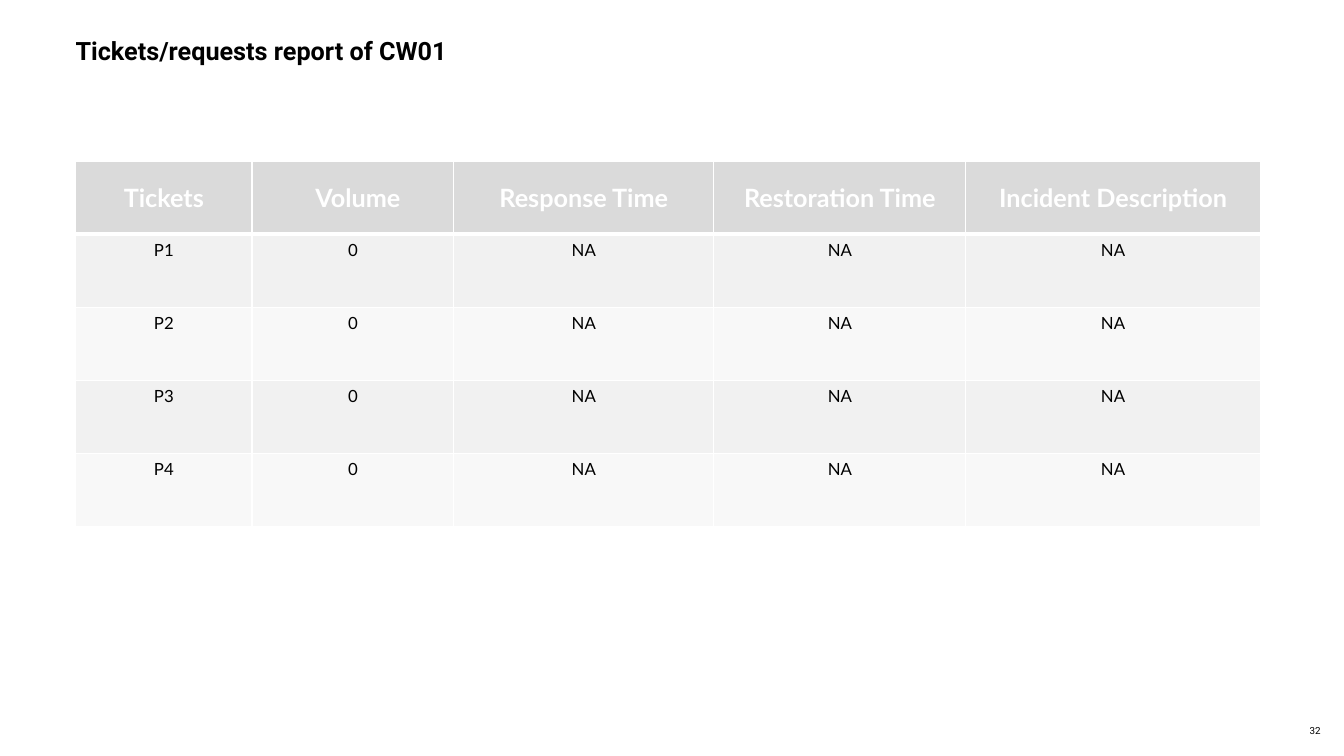
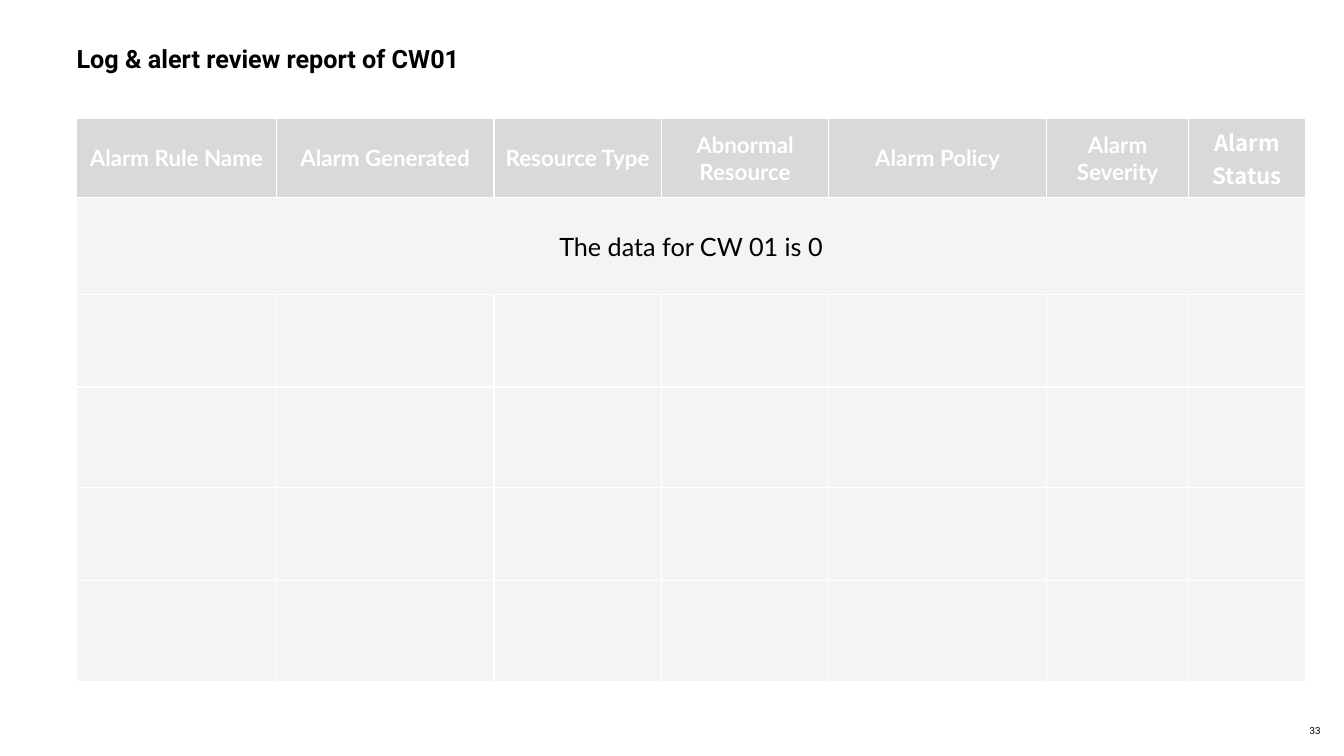
from dataclasses import dataclass

from lxml import etree
from pptx import Presentation
from pptx import util as u
from pptx.dml.color import RGBColor
from pptx.enum import text
from pptx.oxml import ns


@dataclass(frozen=True)
class Theme:
    heading_font: str = "Roboto"
    body_font: str = "Lato"
    status_font: str = "Noto Sans CJK SC"
    ink: str = "000000"
    white: str = "FFFFFF"
    ticket_header: str = "DADADA"
    ticket_bands: tuple = ("F1F1F1", "F8F8F8")
    alarm_header: str = "D9D9D9"
    alarm_band: str = "F4F4F4"
    title_size: int = 18
    large_size: int = 18
    header_size: int = 16
    body_size: int = 12
    number_size: int = 7


T = Theme()


def style_font(p, name, size, color, bold=False):
    p.font.name = name
    p.font.size = u.Pt(size)
    p.font.bold = bold
    p.font.color.rgb = RGBColor.from_string(color)


def set_margins(obj, left=0, top=0, right=0, bottom=0):
    obj.margin_left = u.Inches(left)
    obj.margin_top = u.Inches(top)
    obj.margin_right = u.Inches(right)
    obj.margin_bottom = u.Inches(bottom)


def place(sp, left, top, width, height):
    sp.left, sp.top = u.Inches(left), u.Inches(top)
    sp.width, sp.height = u.Inches(width), u.Inches(height)


def add_slide(prs, title, left, top, number):
    s = prs.slides.add_slide(prs.slide_layouts[5])
    sp = s.shapes.title
    place(sp, left, top, 12.4, 0.67)
    tf = sp.text_frame
    tf.text = title
    tf.word_wrap = True
    tf.auto_size = text.MSO_AUTO_SIZE.NONE
    tf.vertical_anchor = text.MSO_ANCHOR.TOP
    set_margins(tf)
    p = tf.paragraphs[0]
    p.alignment = text.PP_ALIGN.LEFT
    p.line_spacing = 1.1
    style_font(p, T.heading_font, T.title_size, T.ink, True)
    add_slide_number(s, number)
    return s


def add_slide_number(s, number):
    sp = s.shapes.add_textbox(*map(u.Inches, (12.99, 7.16, 0.35, 0.17)))
    tf = sp.text_frame
    tf.text = str(number)
    tf.word_wrap = True
    tf.vertical_anchor = text.MSO_ANCHOR.MIDDLE
    set_margins(tf)
    style_font(tf.paragraphs[0], T.heading_font, T.number_size, T.ink)


def set_borders(cell, top=1, bottom=1):
    tc_pr = cell._tc.get_or_add_tcPr()
    for side, width in (("L", 1), ("R", 1), ("T", top), ("B", bottom)):
        ln = etree.SubElement(tc_pr, ns.qn(f"a:ln{side}"), w=str(u.Pt(width)))
        fill = etree.SubElement(ln, ns.qn("a:solidFill"))
        etree.SubElement(fill, ns.qn("a:srgbClr"), val=T.white)


def add_grid(s, left, top, widths, heights, header_fill, bands, header_rule=1):
    sp = s.shapes.add_table(len(heights), len(widths), u.Inches(left), u.Inches(top),
                            u.Inches(sum(widths)), u.Inches(sum(heights)))
    table = sp.table
    table.first_row = table.horz_banding = False
    for col, width in zip(table.columns, widths):
        col.width = u.Inches(width)
    for i, (row, height) in enumerate(zip(table.rows, heights)):
        row.height = u.Inches(height)
        color = bands[(i - 1) % len(bands)] if i else header_fill
        for cell in row.cells:
            set_borders(cell, top=header_rule if i == 1 else 1,
                        bottom=header_rule if i == 0 else 1)
            cell.fill.solid()
            cell.fill.fore_color.rgb = RGBColor.from_string(color)
    return table


def write_cell(cell, value, size, color, bold=False, font=T.body_font, middle=True):
    cell.text = value
    cell.vertical_anchor = text.MSO_ANCHOR.MIDDLE if middle else text.MSO_ANCHOR.TOP
    p = cell.text_frame.paragraphs[0]
    p.alignment = text.PP_ALIGN.CENTER
    style_font(p, font, size, color, bold)


def tickets_slide(prs):
    s = add_slide(prs, "Tickets/requests report of CW01", 0.75, 0.32, 32)
    table = add_grid(s, 0.75, 1.6, [1.75, 2, 2.58, 2.5, 2.92], [0.725] * 5,
                     T.ticket_header, T.ticket_bands, header_rule=3)
    headers = ["Tickets", "Volume", "Response Time", "Restoration Time",
               "Incident Description"]
    for j, header in enumerate(headers):
        write_cell(table.cell(0, j), header, T.large_size, T.white, True)
    table.cell(0, 1).margin_left = u.Inches(0.2)
    for i in range(1, 5):
        for j, value in enumerate([f"P{i}", "0", "NA", "NA", "NA"]):
            write_cell(table.cell(i, j), value, T.body_size, T.ink, middle=False)


def alarms_slide(prs):
    s = add_slide(prs, "Log & alert review report of CW01", 0.76, 0.4, 33)
    table = add_grid(s, 0.76, 1.17, [1.98, 2.16, 1.66, 1.66, 2.16, 1.41, 1.16],
                     [0.79, 0.96, 0.92, 1, 0.92, 1], T.alarm_header, [T.alarm_band])
    headers = ["Alarm Rule Name", "Alarm Generated", "Resource Type",
               "Abnormal Resource", "Alarm Policy", "Alarm Severity", "Alarm Status"]
    for j, header in enumerate(headers):
        font = T.status_font if header == "Alarm Status" else T.body_font
        cell = table.cell(0, j)
        write_cell(cell, header, T.header_size, T.white, True, font)
        set_margins(cell, 0.01, 0.01, 0.01)
    summary = table.cell(1, 0)
    summary.merge(table.cell(1, len(headers) - 1))
    write_cell(summary, "The data for CW 01 is 0", T.large_size, T.ink)
    set_margins(summary, 0.01, 0.01, 0.01)


def main():
    prs = Presentation()
    prs.slide_width, prs.slide_height = u.Inches(13.33), u.Inches(7.5)
    tickets_slide(prs)
    alarms_slide(prs)
    prs.save("out.pptx")


if __name__ == "__main__":
    main()
